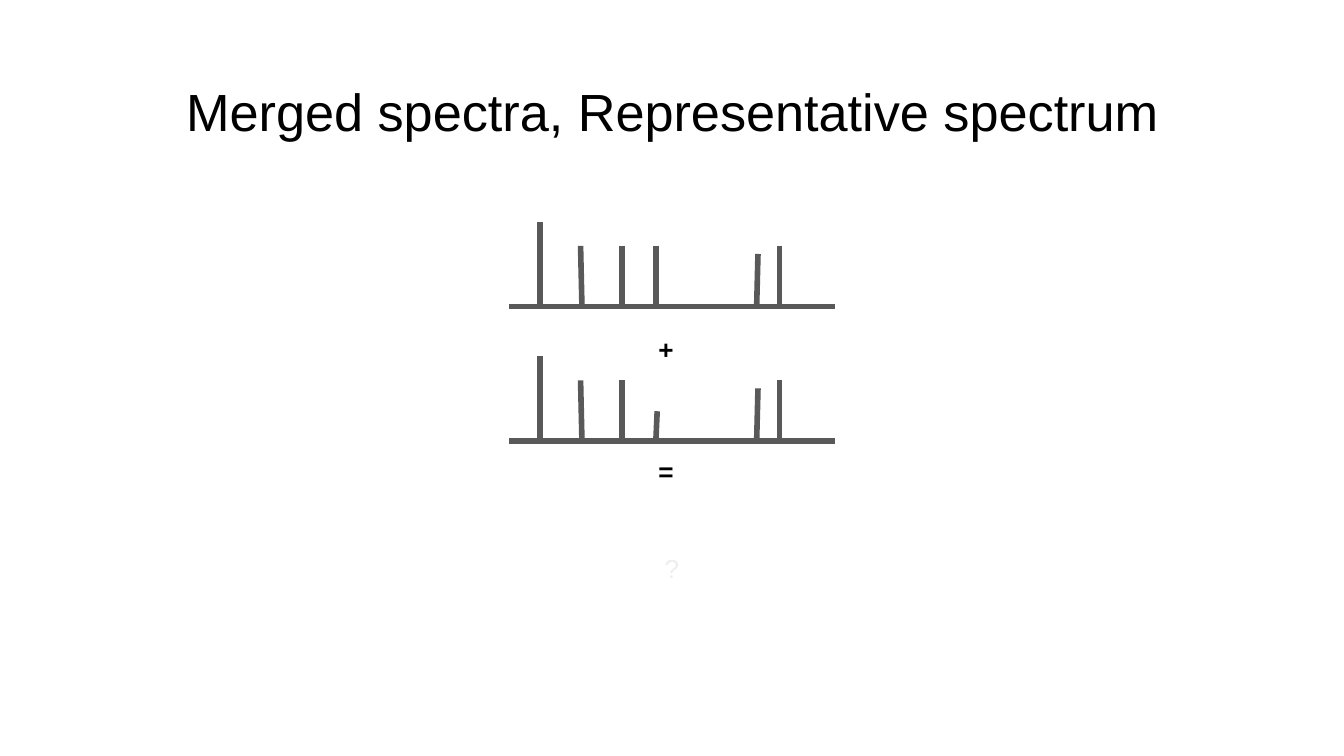
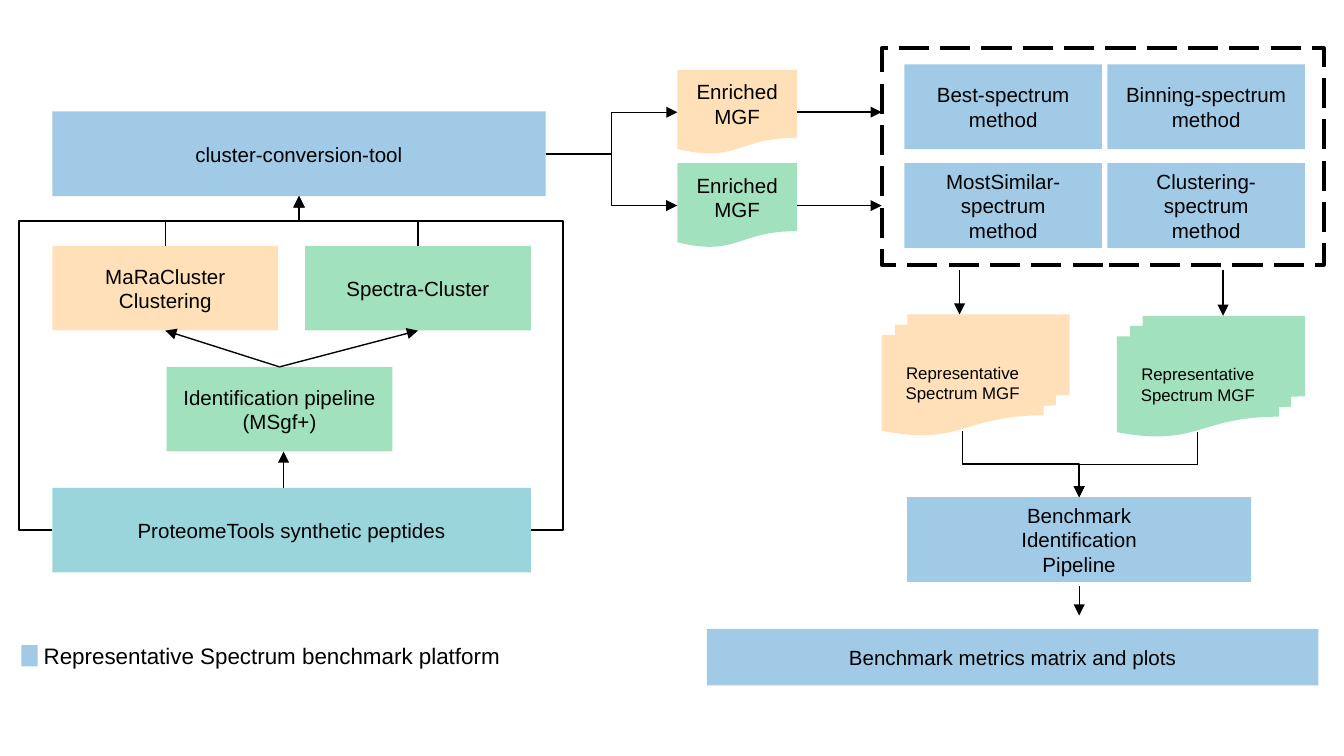
from dataclasses import dataclass

from lxml import etree
from pptx import Presentation
from pptx import util as u
from pptx.dml import color
from pptx.enum import dml, shapes, text
from pptx.oxml import ns


@dataclass(frozen=True)
class Theme:
    font: str = "Arial"
    ink: str = "000000"
    peak: str = "595959"
    faint: str = "EEEEEE"
    blue: str = "0070C0"
    teal: str = "0097A7"
    green: str = "00B050"
    orange: str = "FFAB40"
    opacity: int = 37
    title_size: int = 28
    sign_size: int = 14
    legend_size: int = 12
    label_size: int = 11
    small_size: int = 9
    arrow_width: float = 0.75
    frame_width: float = 2
    peak_width: float = 3


THEME = Theme()
COLUMNS, ROWS = 100, 56.25
CELL = u.Inches(0.1)
NODE_HEIGHT = 6.3
RECTANGLE = shapes.MSO_SHAPE.RECTANGLE
DOCUMENT = shapes.MSO_SHAPE.FLOWCHART_DOCUMENT
DOCUMENT_STACK = shapes.MSO_SHAPE.FLOWCHART_MULTIDOCUMENT


def grid(*lengths):
    return [round(length * CELL) for length in lengths]


@dataclass(frozen=True)
class Box:
    """An area measured in grid columns and rows."""
    left: float
    top: float
    width: float
    height: float

    def inner(self, left, top, width, height):
        return Box(self.left + left, self.top + top, width, height)

    def point(self, x, y):
        return self.left + x, self.top + y

    def edge(self, across, down):
        """The point at these shares of the width and height."""
        return self.point(self.width * across, self.height * down)

    def emu(self):
        return grid(self.left, self.top, self.width, self.height)


def rgb(value):
    return color.RGBColor.from_string(value)


def write(shape, lines, *, size, ink=THEME.ink, bold=False, align="CENTER",
          anchor="TOP", inset=(0.1, 0.05), outline=None):
    """Fill a shape with one paragraph for each line."""
    frame = shape.text_frame
    frame.word_wrap = True
    frame.vertical_anchor = text.MSO_ANCHOR[anchor]
    frame.margin_left = frame.margin_right = u.Inches(inset[0])
    frame.margin_top = frame.margin_bottom = u.Inches(inset[1])
    for index, line in enumerate(lines.split("\n")):
        paragraph = frame.paragraphs[0] if index == 0 else frame.add_paragraph()
        paragraph.alignment = text.PP_ALIGN[align]
        run = paragraph.add_run()
        run.text = line
        run.font.name = THEME.font
        run.font.size = u.Pt(size)
        run.font.bold = bold
        run.font.color.rgb = rgb(ink)
        if outline:
            stroke = etree.Element(ns.qn("a:ln"), w=str(u.Pt(0.75)))
            solid = etree.SubElement(stroke, ns.qn("a:solidFill"))
            etree.SubElement(solid, ns.qn("a:srgbClr"), val=outline)
            run.font._element.insert(0, stroke)


def add_label(slide, box, lines, **style):
    write(slide.shapes.add_textbox(*box.emu()), lines, **style)


def add_node(slide, box, fill, lines="", *, kind=RECTANGLE,
             size=THEME.label_size, opacity=THEME.opacity):
    shape = slide.shapes.add_shape(kind, *box.emu())
    shape.shadow.inherit = False
    shape.line.fill.background()
    shape.fill.solid()
    shape.fill.fore_color.rgb = rgb(fill)
    tint = shape._element.spPr.find(".//" + ns.qn("a:srgbClr"))
    etree.SubElement(tint, ns.qn("a:alpha"), val=str(opacity * 1000))
    if lines:
        write(shape, lines, size=size, anchor="MIDDLE")
    return box


def add_line(slide, start, end, *, ink=THEME.ink, width=THEME.arrow_width,
             arrow=True, kind=shapes.MSO_CONNECTOR.STRAIGHT):
    connector = slide.shapes.add_connector(kind, *grid(*start, *end))
    connector.line.color.rgb = rgb(ink)
    connector.line.width = u.Pt(width)
    if arrow:
        etree.SubElement(connector.line._get_or_add_ln(), ns.qn("a:tailEnd"),
                         type="triangle")
    etree.SubElement(connector._element.spPr, ns.qn("a:effectLst"))
    return connector


def add_elbow(slide, start, end, *, vertical=False, via=None):
    """Bent arrow; vertical leaves up or down, via is the corner of a detour."""
    across, down = end[0] - start[0], end[1] - start[1]
    if vertical:
        turn = 270 if across > 0 else 90
    else:
        turn = 180 if down < 0 else 0
    width, height = {0: (across, down), 90: (down, -across),
                     180: (-across, -down), 270: (-down, across)}[turn]
    x, y = (start[0] + end[0]) / 2, (start[1] + end[1]) / 2
    connector = add_line(slide, (x - width / 2, y - height / 2),
                         (x + width / 2, y + height / 2),
                         kind=shapes.MSO_CONNECTOR.ELBOW)
    properties = connector._element.spPr
    properties.find(ns.qn("a:xfrm")).set("rot", str(turn * 60000))
    if via:
        geometry = properties.find(ns.qn("a:prstGeom"))
        geometry.set("prst", "bentConnector4")
        guides = geometry.find(ns.qn("a:avLst"))
        shares = (via[0] - start[0]) / across, (via[1] - start[1]) / down
        for number, share in enumerate(shares, 1):
            etree.SubElement(guides, ns.qn("a:gd"), name=f"adj{number}",
                             fmla=f"val {round(share * 100000)}")


def draw_spectrum(slide, box, peaks):
    """Peaks are (tip column, foot column, height) above a baseline."""
    style = dict(ink=THEME.peak, width=THEME.peak_width, arrow=False)
    add_line(slide, box.edge(0, 1), box.edge(1, 1), **style)
    for tip, foot, height in peaks:
        add_line(slide, box.point(tip, box.height - height),
                 box.point(foot, box.height), **style)


def draw_spectra_slide(slide, box):
    add_label(slide, box.inner(3.4, 4.9, 93.2, 6.3),
              "Merged spectra, Representative spectrum",
              size=THEME.title_size, inset=(0.1, 0.1))
    first = [(2.3, 2.3, 6.3), (5.3, 5.4, 4.5), (8.4, 8.4, 4.5),
             (10.9, 10.9, 4.5), (18.5, 18.4, 3.9), (20.1, 20.1, 4.5)]
    second = first[:3] + [(11, 10.9, 2.2)] + first[4:]
    for index, peaks in enumerate((first, second)):
        draw_spectrum(slide, box.inner(37.9, 16.5 + 10 * index, 24.2, 6.3), peaks)
    for sign, top in (("+", 23.8), ("=", 32.9)):
        add_label(slide, box.inner(48, top, 3.9, 3.9), sign, bold=True,
                  size=THEME.sign_size, align="LEFT", inset=(0.1, 0.1))
    add_label(slide, box.inner(47.2, 40.6, 5.6, 8.1), "?",
              size=THEME.sign_size, ink=THEME.faint, outline=THEME.peak)


def draw_clustering(slide, box):
    tool = add_node(slide, box.inner(2.5, 0, 36.7, NODE_HEIGHT), THEME.blue,
                    "cluster-conversion-tool")
    identification = add_node(slide, box.inner(11, 19, 16.8, NODE_HEIGHT),
                              THEME.green, "Identification pipeline (MSgf+)")
    peptides = add_node(slide, box.inner(2.5, 28, 35.6, NODE_HEIGHT), THEME.teal,
                        "ProteomeTools synthetic peptides", opacity=40)
    entry = tool.edge(0.5, 1)
    for left, fill, name in ((2.5, THEME.orange, "MaRaCluster Clustering"),
                             (21.3, THEME.green, "Spectra-Cluster")):
        cluster = add_node(slide, box.inner(left, 10, 16.8, NODE_HEIGHT), fill, name)
        add_line(slide, identification.edge(0.5, 0), cluster.edge(0.5, 1))
        add_elbow(slide, cluster.edge(0.5, 0), entry, vertical=True)
    add_line(slide, box.point(19.7, 28), box.point(19.7, 25.3))
    for side in (0, 1):
        corner = box.edge(side, 0)[0], box.top + 8.15
        add_elbow(slide, peptides.edge(side, 0.5), entry, via=corner)


def draw_enrichment(slide, box):
    for index, fill in enumerate((THEME.orange, THEME.green)):
        document = add_node(slide, box.inner(9.8, 6.95 * index, 8.9, NODE_HEIGHT),
                            fill, "Enriched MGF", kind=DOCUMENT)
        add_elbow(slide, box.point(0, 6.25), document.edge(0, 0.5))
        exit_point = document.edge(1, 0.5)
        add_line(slide, exit_point, (box.left + box.width, exit_point[1]))


def draw_methods(slide, box):
    names = ("Best", "Binning", "MostSimilar", "Clustering")
    for index, name in enumerate(names):
        row, column = divmod(index, 2)
        cell = box.inner(1.7 + 15.1 * column, 1.2 + 7.35 * row, 14.7, NODE_HEIGHT)
        add_node(slide, cell, THEME.blue, f"{name}-spectrum\nmethod")
    frame = slide.shapes.add_shape(RECTANGLE, *box.emu())
    frame.shadow.inherit = False
    frame.fill.background()
    frame.line.color.rgb = rgb(THEME.ink)
    frame.line.width = u.Pt(THEME.frame_width)
    frame.line.dash_style = dml.MSO_LINE.LONG_DASH


def draw_results(slide, box):
    pipeline = add_node(slide, box.inner(14.9, 16.9, 25.6, NODE_HEIGHT), THEME.blue,
                        "Benchmark\nIdentification\nPipeline")
    for left, top, inlet, fill in ((13, 3.3, 5.8, THEME.orange),
                                   (30.5, 3.4, 7.9, THEME.green)):
        stack = add_node(slide, box.inner(left, top, 14, 9), fill,
                         "Representative Spectrum MGF", kind=DOCUMENT_STACK,
                         size=THEME.small_size)
        add_line(slide, box.point(left + inlet, 0), stack.point(inlet, 0))
        add_elbow(slide, stack.point(6, 8.65), pipeline.edge(0.5, 0), vertical=True)
    middle = pipeline.width / 2
    add_line(slide, pipeline.point(middle, 6.6), pipeline.point(middle, 8.8))
    add_node(slide, box.inner(0, 26.7, box.width, 4.2), THEME.blue,
             "Benchmark metrics matrix and plots")


def draw_legend(slide, box):
    add_node(slide, box.inner(0, 0.7, 1.2, 1.6), THEME.blue)
    add_label(slide, box.inner(0.5, 0, box.width - 0.5, box.height),
              "Representative Spectrum benchmark platform", size=THEME.legend_size)


def draw_workflow_slide(slide, box):
    draw_clustering(slide, box.inner(1.4, 8.3, 40.5, 34.3))
    draw_enrichment(slide, box.inner(40.6, 5.2, 25, 13.25))
    draw_methods(slide, box.inner(65.6, 3.6, 32.9, 16.1))
    draw_results(slide, box.inner(52.6, 20.1, 45.5, 30.9))
    draw_legend(slide, box.inner(1.6, 47.3, 36.8, 3))


def main():
    presentation = Presentation()
    presentation.slide_width, presentation.slide_height = grid(COLUMNS, ROWS)
    page = Box(0, 0, COLUMNS, ROWS)
    for draw in (draw_spectra_slide, draw_workflow_slide):
        draw(presentation.slides.add_slide(presentation.slide_layouts[6]), page)
    presentation.save("out.pptx")


if __name__ == "__main__":
    main()
